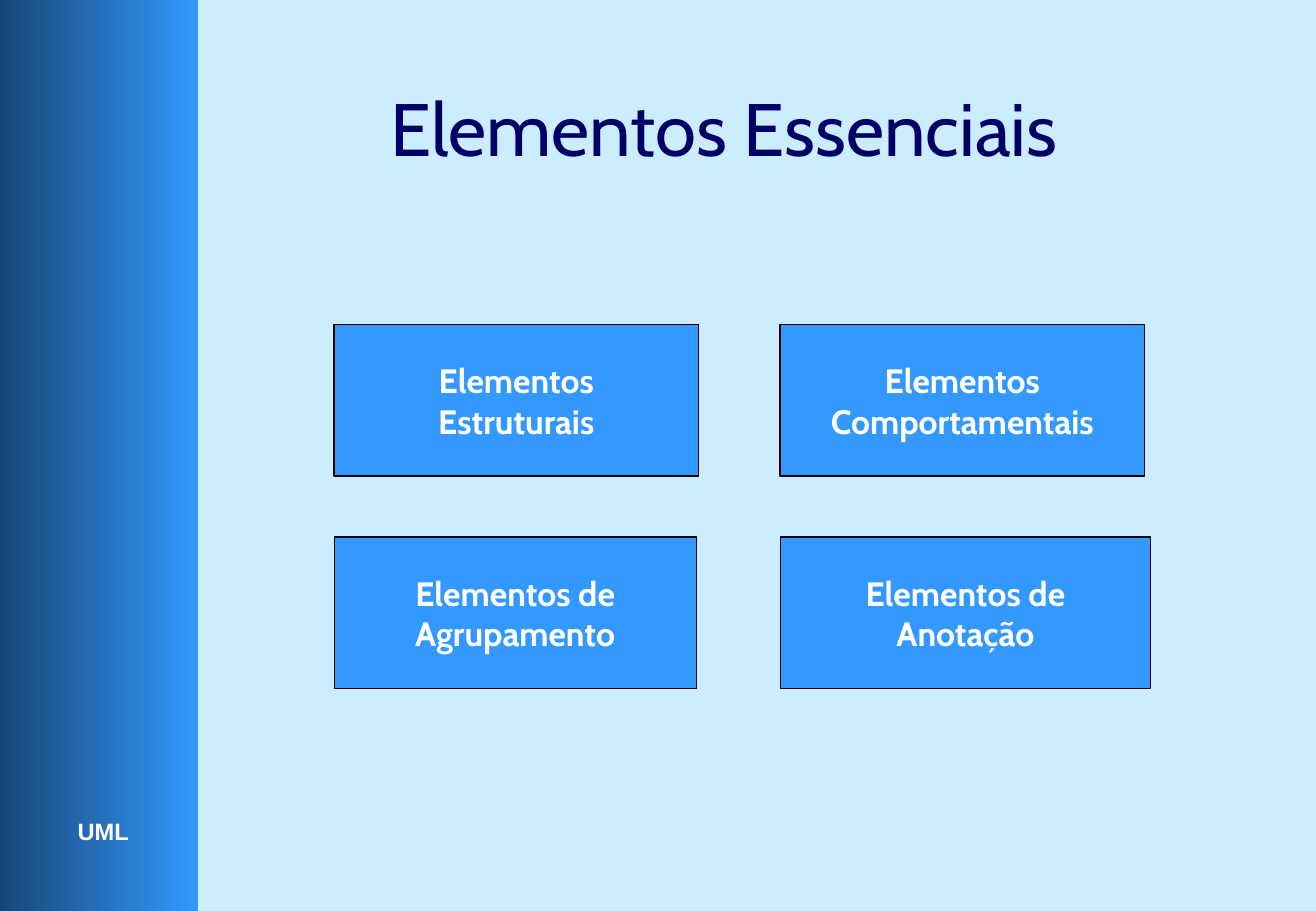
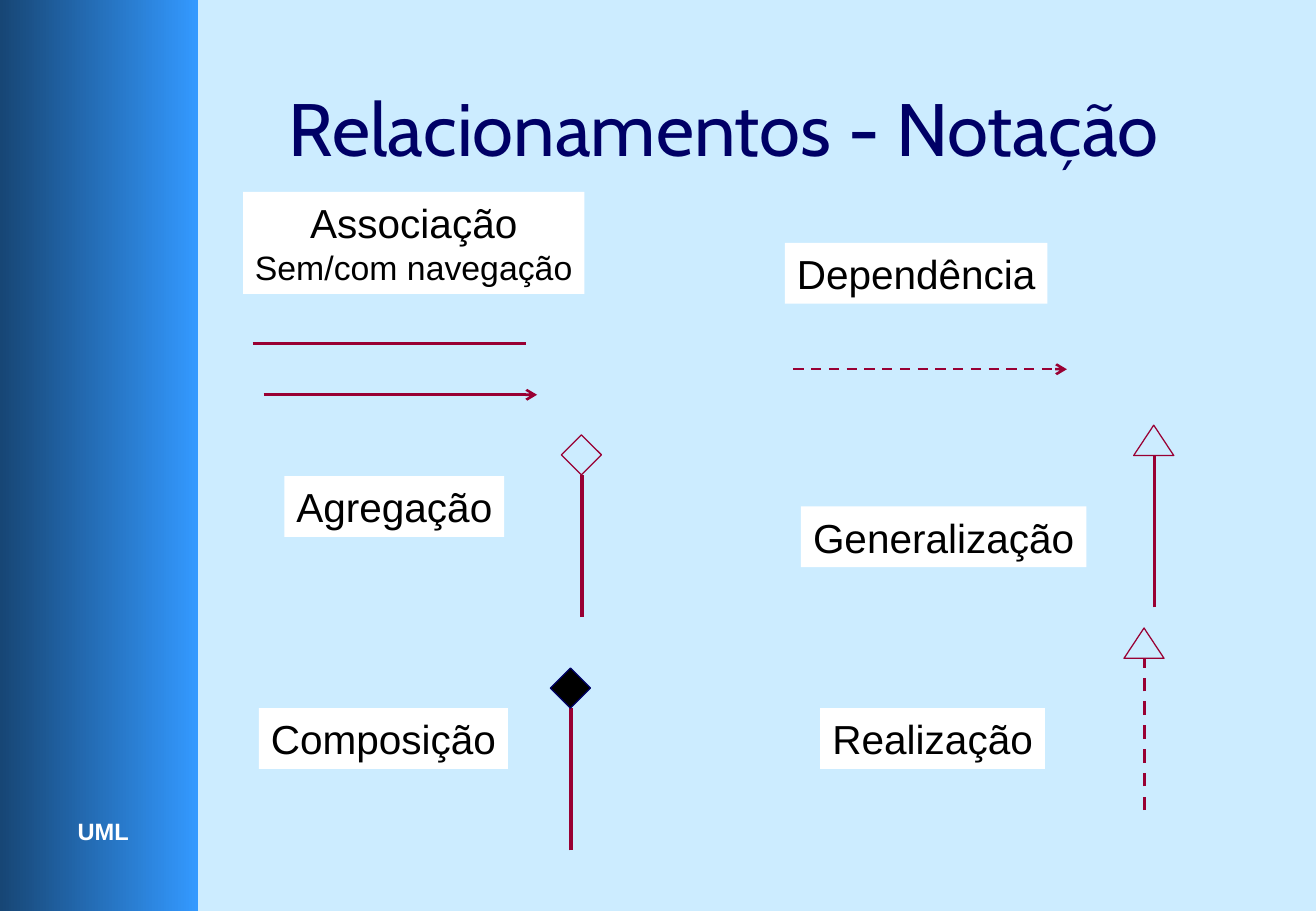
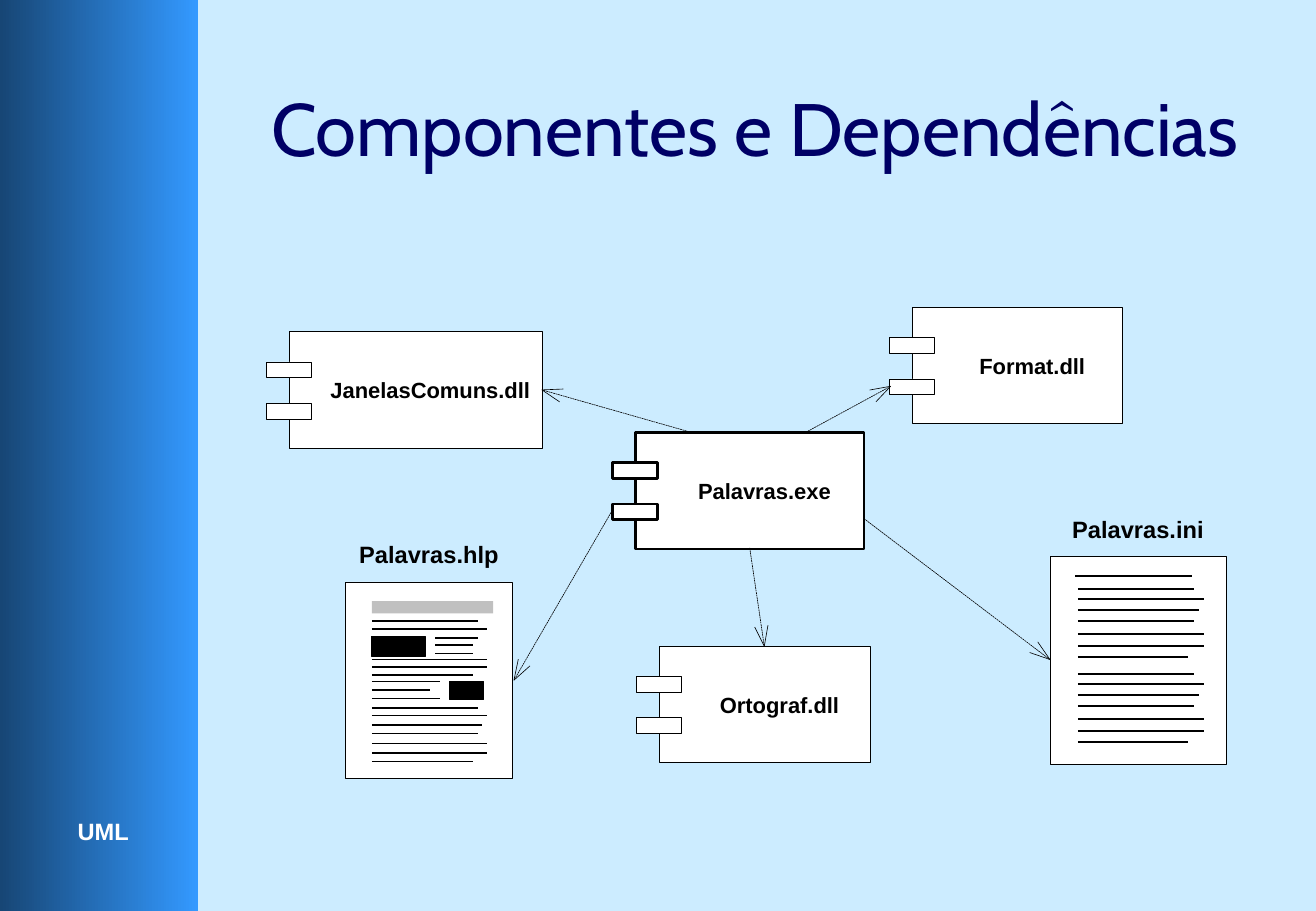
import math

import lxml.etree
import pptx
import pptx.dml.color
import pptx.enum.dml
import pptx.enum.shapes
import pptx.enum.text
import pptx.oxml.ns
import pptx.util

Inches = pptx.util.Inches
Pt = pptx.util.Pt
RGBColor = pptx.dml.color.RGBColor
SHAPE = pptx.enum.shapes.MSO_SHAPE
DASH = pptx.enum.dml.MSO_LINE
ALIGN = pptx.enum.text.PP_ALIGN
ANCHOR = pptx.enum.text.MSO_ANCHOR

PALE_BLUE = RGBColor(0xCC, 0xEC, 0xFF)
BLUE = RGBColor(0x33, 0x99, 0xFF)
DEEP_BLUE = RGBColor(0x17, 0x46, 0x75)
NAVY = RGBColor(0x00, 0x00, 0x66)
CRIMSON = RGBColor(0x99, 0x00, 0x33)
GRAY = RGBColor(0xC0, 0xC0, 0xC0)
BLACK = RGBColor(0, 0, 0)
WHITE = RGBColor(0xFF, 0xFF, 0xFF)

TITLE_FONT = "Cabin"
BODY_FONT = "Arial"
THIN = 0.37
HAIRLINE = 0


def add_block(slide, kind, box, fill=None, line=None, width=0.75):
    block = slide.shapes.add_shape(kind, *map(Inches, box))
    block.shadow.inherit = False
    if fill is None:
        block.fill.background()
    else:
        block.fill.solid()
        block.fill.fore_color.rgb = fill
    if line is None:
        block.line.fill.background()
    else:
        block.line.color.rgb = line
        block.line.width = Pt(width)
    return block


def write(block, lines, size, color, font=BODY_FONT, bold=False, wrap=False):
    frame = block.text_frame
    frame.word_wrap = wrap
    frame.vertical_anchor = ANCHOR.MIDDLE
    frame.text = "\n".join(lines)
    for paragraph in frame.paragraphs:
        paragraph.alignment = ALIGN.CENTER
        paragraph.font.name = font
        paragraph.font.size = Pt(size)
        paragraph.font.bold = bold
        paragraph.font.color.rgb = color
    return frame


def add_line(slide, start, end, color, width, dash=None, arrow=False):
    line = slide.shapes.add_connector(
        pptx.enum.shapes.MSO_CONNECTOR.STRAIGHT, *map(Inches, (*start, *end)))
    line.line.color.rgb = color
    line.line.width = Pt(width)
    if dash is not None:
        line.line.dash_style = dash
    qn = pptx.oxml.ns.qn
    if arrow:
        lxml.etree.SubElement(line.get_or_add_ln(), qn("a:tailEnd"), type="arrow")
    lxml.etree.SubElement(line.element.spPr, qn("a:effectLst"))


def decorate_layout(layout, slide):
    layout.slide_master.background.fill.solid()
    layout.slide_master.background.fill.fore_color.rgb = PALE_BLUE
    band = add_block(slide, SHAPE.RECTANGLE, (0, 0, 1.63, 7.5), BLUE)
    band.fill.gradient()
    band.fill.gradient_angle = 0
    for stop, color in zip(band.fill.gradient_stops, (DEEP_BLUE, BLUE)):
        stop.color.rgb = color
    course = add_block(slide, SHAPE.RECTANGLE, (0.54, 6.67, 0.62, 0.34))
    write(course, ["UML"], 14, WHITE, bold=True)
    for position, part in enumerate((band, course), start=2):
        layout.shapes.element.insert(position, part.element)


def add_titled_slide(deck, layout, title, left=1.9, width=8.12):
    slide = deck.slides.add_slide(layout)
    heading = slide.shapes.title
    heading.left, heading.top = Inches(left), Inches(0.42)
    heading.width, heading.height = Inches(width), Inches(1.25)
    frame = write(heading, [title], 44, NAVY, TITLE_FONT, wrap=True)
    frame.auto_size = pptx.enum.text.MSO_AUTO_SIZE.NONE
    return slide


def add_label(slide, box, name, detail=None):
    label = add_block(slide, SHAPE.RECTANGLE, box, WHITE)
    frame = write(label, [name, detail] if detail else [name], 24, BLACK)
    if detail:
        frame.paragraphs[1].font.size = Pt(20)


def add_headed_line(slide, kind, x, top, head_height, bottom,
                    fill=None, outline=CRIMSON, dash=None):
    neck = top + head_height
    add_line(slide, (x, bottom), (x, neck), CRIMSON, HAIRLINE, dash)
    add_block(slide, kind, (x - 0.17, top, 0.33, head_height), fill, outline, HAIRLINE)


def add_component(slide, name, left, top, width=1.73, line_width=THIN):
    body = add_block(slide, SHAPE.RECTANGLE, (left, top, width, 0.96),
                     WHITE, BLACK, line_width)
    frame = write(body, [name], 13, BLACK, bold=True, wrap=True)
    frame.margin_left, frame.margin_right = Inches(0.24), 0
    for offset in (0.25, 0.59):
        add_block(slide, SHAPE.RECTANGLE, (left - 0.19, top + offset, 0.37, 0.13),
                  WHITE, BLACK, line_width)


def add_document(slide, name, left, top, width, height, rows):
    add_block(slide, SHAPE.RECTANGLE, (left, top, width, height), WHITE, BLACK, THIN)
    caption = add_block(slide, SHAPE.RECTANGLE, (left, top - 0.34, width, 0.23))
    write(caption, [name], 14, BLACK, bold=True)
    for y, start, end in rows:
        add_line(slide, (start, y), (end, y), BLACK, 1)


def add_dependency(slide, start, end):
    add_line(slide, start, end, BLACK, THIN, DASH.SQUARE_DOT)
    angle = math.atan2(end[1] - start[1], end[0] - start[0])
    spread = math.atan2(0.055, 0.167)
    barbs = [(Inches(end[0] - 0.176 * math.cos(angle + turn)),
              Inches(end[1] - 0.176 * math.sin(angle + turn)))
             for turn in (-spread, spread)]
    builder = slide.shapes.build_freeform(*barbs[0])
    builder.add_line_segments([tuple(map(Inches, end)), barbs[1]], close=False)
    head = builder.convert_to_shape()
    head.shadow.inherit = False
    head.fill.background()
    head.line.color.rgb = BLACK
    head.line.width = Pt(THIN)


def fill_elements(slide):
    elements = [
        (2.75, 2.67, 3, ["Elementos", "Estruturais"]),
        (6.42, 2.67, 3, ["Elementos", "Comportamentais"]),
        (2.75, 4.42, 2.98, ["Elementos de", "Agrupamento"]),
        (6.42, 4.42, 3.05, ["Elementos de", "Anotação"]),
    ]
    for left, top, width, lines in elements:
        element = add_block(slide, SHAPE.RECTANGLE, (left, top, width, 1.25), BLUE, BLACK)
        write(element, lines, 20, WHITE, TITLE_FONT, bold=True)


def fill_relationships(slide):
    add_label(slide, (2, 1.58, 2.81, 0.84), "Associação", "Sem/com navegação")
    for left, top, width, name in [
        (2.34, 3.92, 1.81, "Agregação"),
        (2.13, 5.83, 2.05, "Composição"),
        (6.46, 2, 2.16, "Dependência"),
        (6.59, 4.17, 2.35, "Generalização"),
        (6.75, 5.83, 1.85, "Realização"),
    ]:
        add_label(slide, (left, top, width, 0.5), name)

    add_line(slide, (2.08, 2.83), (4.33, 2.83), CRIMSON, HAIRLINE)
    add_line(slide, (2.17, 3.25), (4.42, 3.25), CRIMSON, 1.5, arrow=True)
    add_line(slide, (6.53, 3.04), (8.78, 3.04), CRIMSON, 1.5, DASH.DASH, arrow=True)
    add_headed_line(slide, SHAPE.DIAMOND, 4.79, 3.58, 0.33, 5.08)
    add_headed_line(slide, SHAPE.DIAMOND, 4.7, 5.5, 0.33, 7, BLACK, NAVY)
    add_headed_line(slide, SHAPE.ISOSCELES_TRIANGLE, 9.5, 3.5, 0.25, 5)
    add_headed_line(slide, SHAPE.ISOSCELES_TRIANGLE, 9.42, 5.17, 0.25, 6.67,
                    dash=DASH.DASH)


def fill_components(slide):
    add_component(slide, "Palavras.exe", 5.23, 3.56, 1.88, 1.62)
    add_component(slide, "Ortograf.dll", 5.43, 5.32)
    add_component(slide, "Format.dll", 7.51, 2.53)
    add_component(slide, "JanelasComuns.dll", 2.38, 2.73, 2.08)

    help_rows = [(y, 3.06, end) for y, end in [
        (5.11, 3.93), (5.18, 4.01), (5.43, 4.01), (5.49, 4.01), (5.56, 3.89),
        (5.61, 3.62), (5.68, 3.54), (5.75, 3.62), (5.83, 3.93), (5.89, 4.01),
        (5.97, 3.97), (6.04, 3.93), (6.12, 4.01), (6.2, 4.01), (6.27, 3.89)]]
    help_rows += [(5.25, 3.58, 3.93), (5.31, 3.58, 3.89), (5.38, 3.58, 3.89)]
    add_document(slide, "Palavras.hlp", 2.84, 4.79, 1.38, 1.62, help_rows)
    add_block(slide, SHAPE.RECTANGLE, (3.06, 4.95, 1, 0.1), GRAY)
    for figure in [(3.06, 5.24, 0.44, 0.16), (3.7, 5.61, 0.28, 0.15)]:
        add_block(slide, SHAPE.RECTANGLE, figure, BLACK, BLACK, THIN)

    settings = [(4.85, 9.83), (4.93, 9.91), (5.02, 9.87), (5.11, 9.83),
                (5.22, 9.91), (5.32, 9.91), (5.41, 9.78)]
    settings_rows = [(4.74, 8.85, 9.81)]
    settings_rows += [(y + shift, 8.87, end) for shift in (0, 0.7) for y, end in settings]
    add_document(slide, "Palavras.ini", 8.64, 4.58, 1.45, 1.71, settings_rows)

    for start, end in [
        ((7.11, 4.27), (8.64, 5.43)),
        ((6.63, 3.56), (7.33, 3.18)),
        ((5.69, 3.56), (4.46, 3.21)),
        ((5.04, 4.2), (4.23, 5.6)),
        ((6.17, 4.51), (6.29, 5.32)),
    ]:
        add_dependency(slide, start, end)


def main():
    deck = pptx.Presentation()
    deck.slide_width, deck.slide_height = Inches(10.83), Inches(7.5)
    layout = deck.slide_layouts.get_by_name("Title Only")

    elements = add_titled_slide(deck, layout, "Elementos Essenciais")
    decorate_layout(layout, elements)
    fill_elements(elements)
    fill_relationships(add_titled_slide(deck, layout, "Relacionamentos - Notação"))
    fill_components(add_titled_slide(deck, layout, "Componentes e Dependências",
                                     1.93, 8.57))
    deck.save("out.pptx")


if __name__ == "__main__":
    main()
